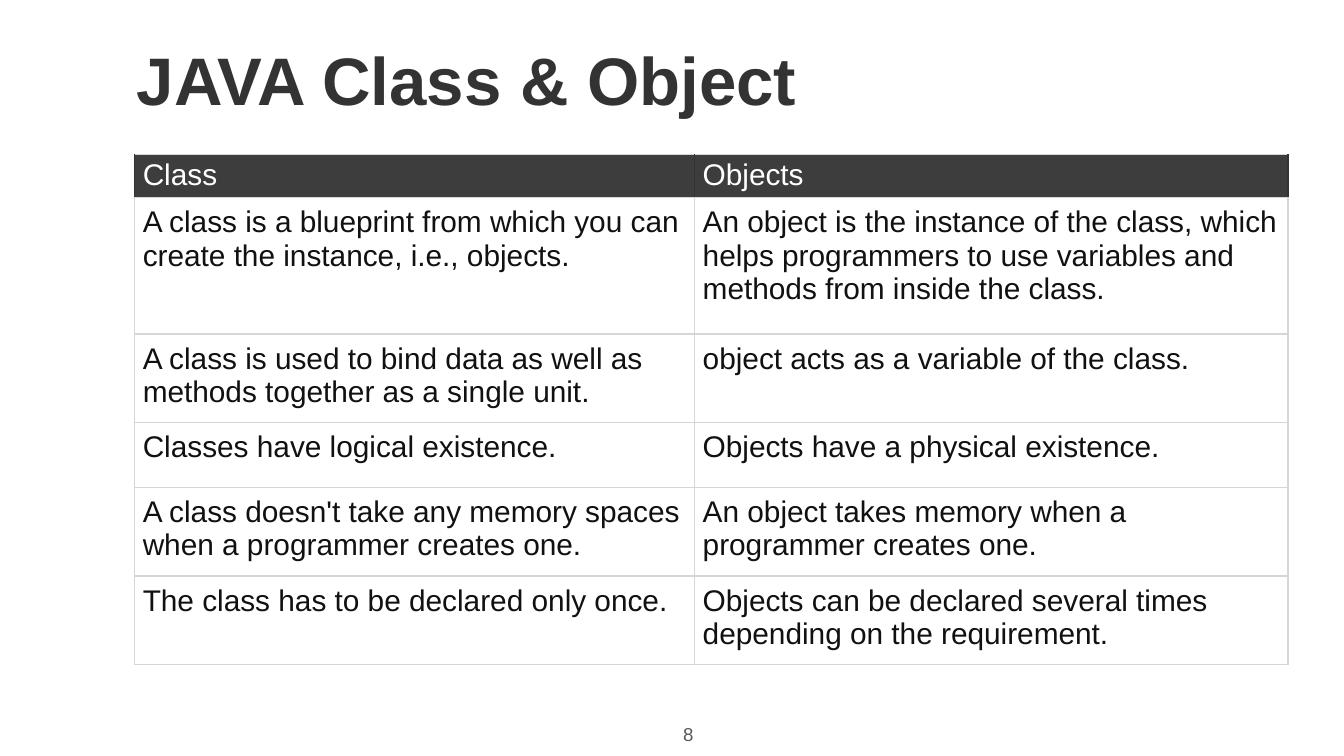
from dataclasses import dataclass

import pptx
import pptx.dml.color
import pptx.enum.text
import pptx.oxml
import pptx.oxml.ns
import pptx.util
from pptx.util import Pt

RULE = "D6D6D6"
COLUMN_WIDTHS = (300, 318)
COMPARISON = (
    ("Class", "Objects"),
    ("A class is a blueprint from which you can create the instance, i.e., objects.",
     "An object is the instance of the class, which helps programmers to use "
     "variables and methods from inside the class."),
    ("A class is used to bind data as well as methods together as a single unit.",
     "object acts as a variable of the class."),
    ("Classes have logical existence.", "Objects have a physical existence."),
    ("A class doesn't take any memory spaces when a programmer creates one.",
     "An object takes memory when a programmer creates one."),
    ("The class has to be declared only once.",
     "Objects can be declared several times depending on the requirement."),
)
ROW_HEIGHTS = (22, 73, 47.5, 34.75, 47.5, 47.5)


@dataclass(frozen=True)
class TextStyle:
    size: float
    color: str
    bold: bool = False
    align: pptx.enum.text.PP_ALIGN = pptx.enum.text.PP_ALIGN.LEFT


@dataclass(frozen=True)
class CellStyle:
    text: TextStyle
    fill: str
    side_rule: str
    vertical_margin: float


TITLE = TextStyle(36, "333333", bold=True)
PAGE_NUMBER = TextStyle(10, "595959", align=pptx.enum.text.PP_ALIGN.CENTER)
HEADER = CellStyle(TextStyle(16, "FFFFFF"), "3D3D3D", "333333", 2)
BODY = CellStyle(TextStyle(16, "111111"), "FFFFFF", RULE, 4.5)


def rgb(code: str) -> pptx.dml.color.RGBColor:
    return pptx.dml.color.RGBColor.from_string(code)


def write(frame, words: str, style: TextStyle) -> None:
    paragraph = frame.paragraphs[0]
    paragraph.alignment = style.align
    run = paragraph.add_run()
    run.text = words
    formats = {"name": "Arial", "size": Pt(style.size), "bold": style.bold}
    for attribute, value in formats.items():
        setattr(run.font, attribute, value)
    run.font.color.rgb = rgb(style.color)


def add_label(slide, words: str, style: TextStyle, left: float, top: float,
              width: float, height: float) -> None:
    frame = slide.shapes.add_textbox(Pt(left), Pt(top), Pt(width), Pt(height)).text_frame
    frame.word_wrap = True
    frame.vertical_anchor = pptx.enum.text.MSO_ANCHOR.MIDDLE
    write(frame, words, style)


def add_border(cell, side: str, color: str) -> None:
    """Draw one cell edge; side is L, R, T or B."""
    cell._tc.get_or_add_tcPr().append(pptx.oxml.parse_xml(
        f'<a:ln{side} {pptx.oxml.ns.nsdecls("a")} w="{Pt(0.75)}">'
        f'<a:solidFill><a:srgbClr val="{color}"/></a:solidFill></a:ln{side}>'))


def fill_cell(cell, words: str, style: CellStyle) -> None:
    margins = {
        "margin_left": 4.5,
        "margin_right": 4.5,
        "margin_top": style.vertical_margin,
        "margin_bottom": style.vertical_margin,
    }
    for attribute, value in margins.items():
        setattr(cell, attribute, Pt(value))
    for side in "LRTB":
        add_border(cell, side, style.side_rule if side in "LR" else RULE)
    cell.fill.solid()
    cell.fill.fore_color.rgb = rgb(style.fill)
    write(cell.text_frame, words, style.text)


def add_comparison(slide) -> None:
    table = slide.shapes.add_table(
        len(COMPARISON), len(COLUMN_WIDTHS), Pt(72), Pt(82.75),
        Pt(sum(COLUMN_WIDTHS)), Pt(sum(ROW_HEIGHTS))).table
    for column, width in zip(table.columns, COLUMN_WIDTHS):
        column.width = Pt(width)
    for index, (row, height, entries) in enumerate(
            zip(table.rows, ROW_HEIGHTS, COMPARISON)):
        row.height = Pt(height)
        for cell, words in zip(row.cells, entries):
            fill_cell(cell, words, BODY if index else HEADER)


def main() -> None:
    deck = pptx.Presentation()
    deck.slide_width, deck.slide_height = Pt(720), Pt(405)
    slide = deck.slides.add_slide(deck.slide_layouts[6])
    add_label(slide, "JAVA Class & Object", TITLE, 66.25, 16.5, 624, 51)
    add_label(slide, "8", PAGE_NUMBER, 347.75, 382.25, 42, 22.5)
    add_comparison(slide)
    deck.save("out.pptx")


if __name__ == "__main__":
    main()
